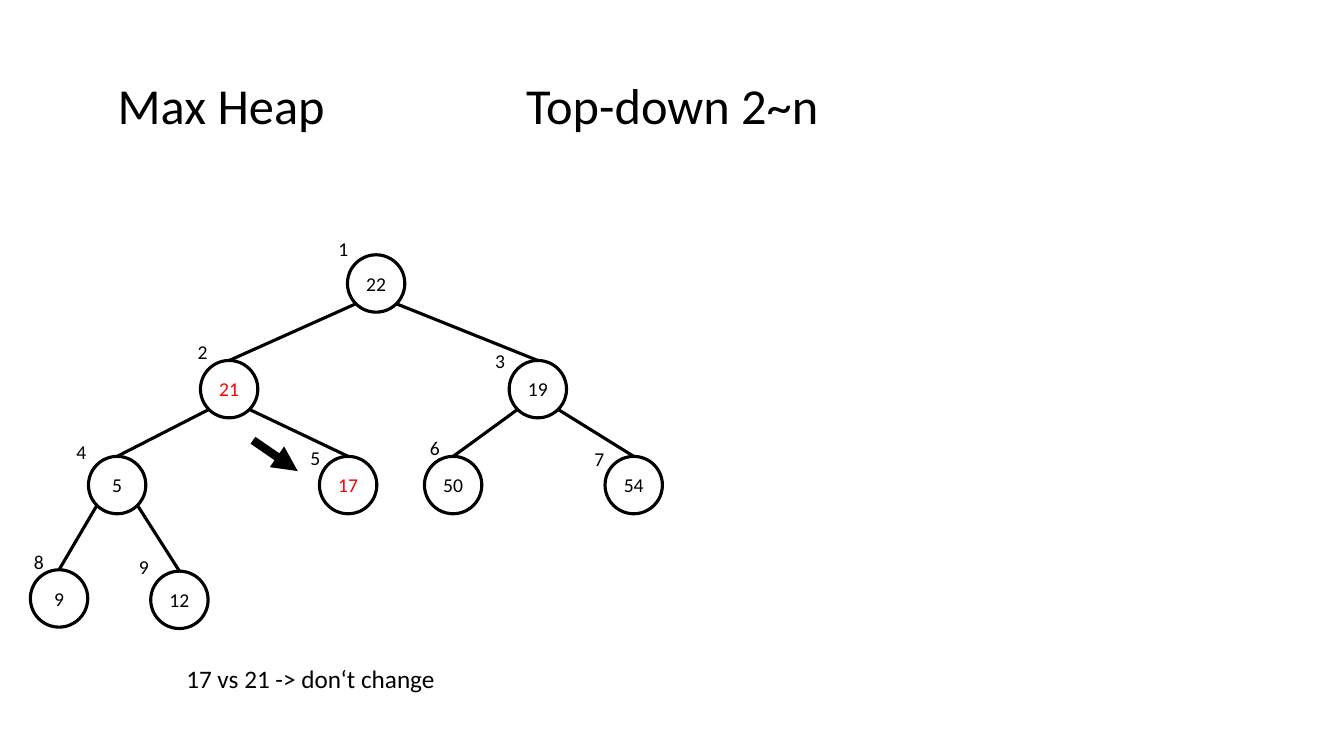
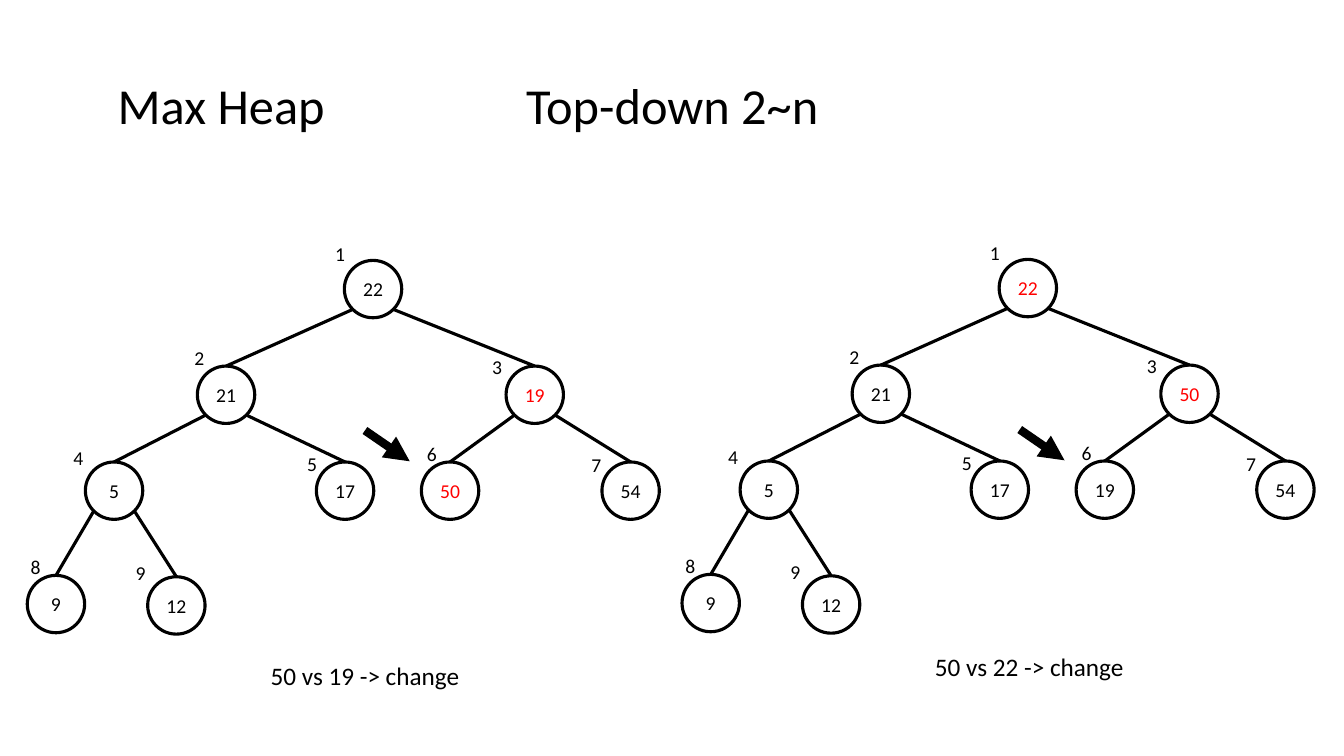
"""Build two slides that trace max heap insertion from the top down."""
import math
from dataclasses import dataclass

from lxml import etree
from pptx import Presentation
from pptx import util as u
from pptx.dml import color
from pptx.enum import shapes, text
from pptx.oxml import ns


@dataclass(frozen=True)
class Theme:
    font: str = "Calibri"
    ink: color.RGBColor = color.RGBColor(0, 0, 0)
    accent: color.RGBColor = color.RGBColor(255, 0, 0)
    title_size: int = 36
    caption_size: int = 18
    node_size: int = 14
    edge_width: float = 2.25
    arrow_width: float = 6


DIAMETER = 41
NODES = {
    1: (0, 0),
    2: (-105, 75.5),
    3: (115.5, 75.5),
    4: (-185, 144),
    5: (-20, 144),
    6: (55, 144),
    7: (184, 144),
    8: (-226.5, 225),
    9: (-140.5, 226),
}
INDEX_OFFSETS = {
    1: (-24, -16.5),
    2: (-19.5, -18),
    3: (-27.5, -11.5),
    4: (-26, -15),
    5: (-24, -11),
    6: (-13.5, -18),
    7: (-25, -10),
    8: (-15, -18),
    9: (-26, -15),
}
TITLES = [("Max Heap", (36, 49.7, 244, 51)), ("Top-down 2~n", (252.7, 49.7, 455, 51))]
SLIDES = [
    [
        dict(root=(248.2, 182), values=[22, 21, 19, 5, 17, 50, 54, 9, 12], compared={2, 5},
             arrow=(-67.5, 132.5), caption="17 vs 21 -> don‘t change", caption_at=(123.8, 470)),
    ],
    [
        dict(root=(246, 186), values=[22, 21, 19, 5, 17, 50, 54, 9, 12], compared={3, 6},
             arrow=(14.7, 121.5), caption="50 vs 19 -> change", caption_at=(162.7, 468)),
        dict(root=(713.7, 185.3), values=[22, 21, 50, 5, 17, 19, 54, 9, 12], compared={1, 3},
             arrow=(14.7, 121.5), caption="50 vs 22 -> change", caption_at=(637.2, 461.5)),
    ],
]


def assign(target, values):
    for name, value in values.items():
        setattr(target, name, value)


class Deck:
    def __init__(self, theme):
        self.theme = theme
        self.presentation = Presentation()
        assign(self.presentation, {"slide_width": u.Pt(960), "slide_height": u.Pt(540)})
        self.slide = None

    def start_slide(self):
        self.slide = self.presentation.slides.add_slide(self.presentation.slide_layouts[6])
        for title, box in TITLES:
            self.label(self.slide.shapes, title, box, self.theme.title_size)

    def set_text(self, shape, words, size, ink, frame_format):
        frame = shape.text_frame
        assign(frame, frame_format)
        paragraph = frame.paragraphs[0]
        paragraph.text = words
        paragraph.alignment = text.PP_ALIGN.CENTER
        assign(paragraph.font, {"name": self.theme.font, "size": u.Pt(size)})
        paragraph.font.color.rgb = ink

    def label(self, parent, words, box, size):
        shape = parent.add_textbox(*map(u.Pt, box))
        self.set_text(shape, words, size, self.theme.ink, {
            "word_wrap": True, "auto_size": text.MSO_AUTO_SIZE.SHAPE_TO_FIT_TEXT})

    def node(self, parent, value, left, top, ink):
        shape = parent.add_shape(shapes.MSO_SHAPE.OVAL,
                                 *map(u.Pt, (left, top, DIAMETER, DIAMETER)))
        shape.shadow.inherit = False
        shape.fill.background()
        shape.line.color.rgb = self.theme.ink
        shape.line.width = u.Pt(self.theme.edge_width)
        self.set_text(shape, str(value), self.theme.node_size, ink, {
            "word_wrap": False, "vertical_anchor": text.MSO_ANCHOR.MIDDLE,
            "margin_left": 0, "margin_right": 0, "margin_top": 0, "margin_bottom": 0})
        return shape

    def line(self, parent, start, end, width):
        connector = parent.add_connector(shapes.MSO_CONNECTOR.STRAIGHT,
                                         *map(u.Pt, (*start, *end)))
        connector.line.color.rgb = self.theme.ink
        connector.line.width = u.Pt(width)
        etree.SubElement(connector._element.spPr, ns.qn("a:effectLst"))
        return connector

    def edge(self, parent, start, child, child_at):
        end = (child_at[0] + DIAMETER / 2, child_at[1])
        connector = self.line(parent, start, end, self.theme.edge_width)
        connector.end_connect(child, 0)

    def arrow(self, left, top):
        connector = self.line(self.slide.shapes, (left, top), (left + 32, top + 22),
                              self.theme.arrow_width)
        outline = connector._element.spPr.find(ns.qn("a:ln"))
        etree.SubElement(outline, ns.qn("a:tailEnd"), type="triangle")

    def heap(self, root, values, compared, arrow, caption, caption_at):
        parent = self.slide.shapes.add_group_shape().shapes
        radius = DIAMETER / 2
        reach = radius * math.sqrt(0.5)
        places = {index: (root[0] + x, root[1] + y) for index, (x, y) in NODES.items()}
        for index, value in enumerate(values, 1):
            left, top = places[index]
            ink = self.theme.accent if index in compared else self.theme.ink
            circle = self.node(parent, value, left, top, ink)
            if index > 1:
                above_left, above_top = places[index // 2]
                side = 1 if index % 2 else -1
                start = (above_left + radius + side * reach, above_top + radius + reach)
                self.edge(parent, start, circle, places[index])
            x, y = INDEX_OFFSETS[index]
            self.label(parent, str(index), (left + x, top + y, 42, 24.5), self.theme.node_size)
        self.arrow(root[0] + arrow[0], root[1] + arrow[1])
        self.label(self.slide.shapes, caption, (*caption_at, 196, 29), self.theme.caption_size)


def main():
    deck = Deck(Theme())
    for heaps in SLIDES:
        deck.start_slide()
        for heap in heaps:
            deck.heap(**heap)
    deck.presentation.save("out.pptx")


if __name__ == "__main__":
    main()
